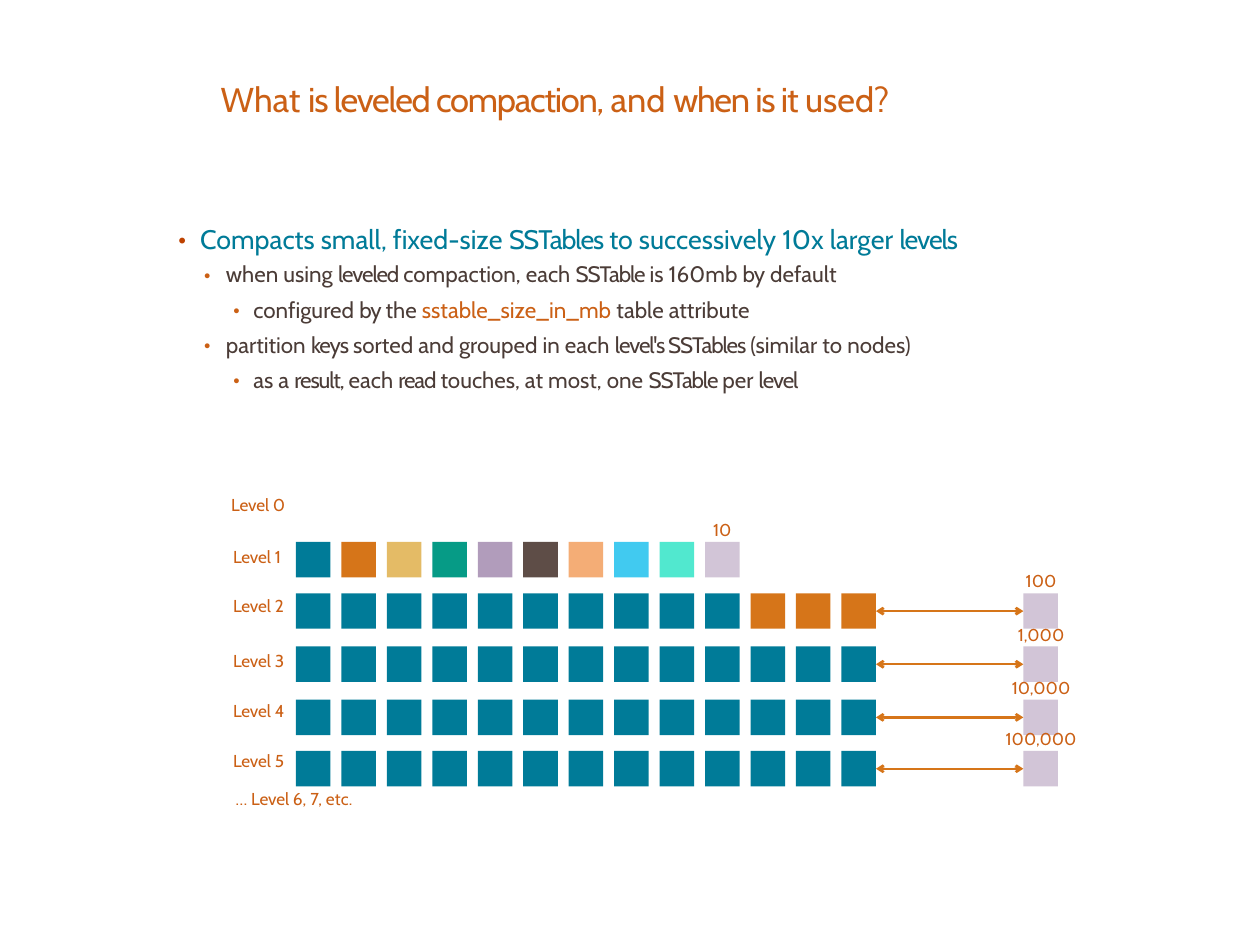
import pptx
import pptx.dml.color
import pptx.enum.shapes
import pptx.enum.text
import pptx.oxml
import pptx.oxml.ns
import pptx.util
from lxml import etree

Inches = pptx.util.Inches
Pt = pptx.util.Pt
ALIGN = pptx.enum.text.PP_ALIGN
ANCHOR = pptx.enum.text.MSO_ANCHOR

ORANGE, TEAL, BROWN = "CB6015", "007B98", "4B3C37"
ARROW, LILAC = "D67519", "D2C5D7"
LEVEL_1_COLOURS = [TEAL, ARROW, "E4BB66", "069B86", "B19CBB",
                   "5E4D47", "F4AD76", "41CAF0", "51E8CF", LILAC]
SSTABLE_W, SSTABLE_H, PITCH = 0.39, 0.4, 0.513
LABEL_H = 0.24

TITLE = [("What ", 0), ("is leveled compaction, ", -1), ("and ", 0),
         ("when is it ", -1), ("used?", 0)]
POINTS = [
    (0, 0, [("Compacts small, fixed-size ", 0), ("SSTables ", -0.9),
            ("to successively 10x larger ", 0), ("levels", -0.9)]),
    (1, 5, [("when using ", 0), ("leveled ", -0.9), ("compaction, each ", 0),
            ("SSTable ", -0.9), ("is 160mb ", 0), ("by", -0.9), (" default", 0)]),
    (2, 7, [("configured ", 0), ("by ", -0.9), ("the ", 0),
            ("sstable_size_in_mb ", 0, ORANGE), ("table attribute", 0)]),
    (1, 7, [("partition ", 0), ("keys ", -0.9), ("sorted and grouped in each ", 0),
            ("level's SSTables ", -0.9), ("(similar to nodes)", 0)]),
    (2, 6, [("as a ", 0), ("result, ", -0.9), ("each ", 0), ("read ", -0.9),
            ("touches, at most, one ", 0), ("SSTable ", -0.9), ("per ", 0),
            ("level", -0.9)]),
]
POINT_STYLES = [(21.8, TEAL, "BE4200", 0.28, -0.25),
                (18.2, BROWN, ORANGE, 0.57, -0.25),
                (18.2, BROWN, ORANGE, 0.88, -0.23)]
LEVELS = [
    ("1", "10", 0.54, 0.17, LEVEL_1_COLOURS),
    ("2", "100", 1.12, 0.14, [TEAL] * 10 + [ARROW] * 3),
    ("3", "1,000", 1.72, 0.16, [TEAL] * 13),
    ("4", "10,000", 2.32, 0.12, [TEAL] * 13),
    ("5", "100,000", 2.9, 0.11, [TEAL] * 13),
]


def rgb(colour):
    return pptx.dml.color.RGBColor.from_string(colour)


def place(shape, left, top, width, height):
    shape.left, shape.top = Inches(left), Inches(top)
    shape.width, shape.height = Inches(width), Inches(height)


def clear_frame(frame, anchor, wrap=True):
    frame.margin_left = frame.margin_right = 0
    frame.margin_top = frame.margin_bottom = 0
    frame.vertical_anchor = anchor
    frame.auto_size = pptx.enum.text.MSO_AUTO_SIZE.NONE
    frame.word_wrap = wrap


def add_runs(paragraph, parts, size, colour):
    for text, spacing, *accent in parts:
        run = paragraph.add_run()
        run.text = text
        run.font.name = "Cabin"
        run.font.size = Pt(size)
        run.font.color.rgb = rgb(accent[0] if accent else colour)
        if spacing:
            run._r.get_or_add_rPr().set("spc", str(round(spacing * 100)))


def add_bullet(paragraph, colour, margin, indent):
    properties = paragraph._p.get_or_add_pPr()
    properties.set("marL", str(Inches(margin)))
    properties.set("indent", str(Inches(indent)))
    namespace = pptx.oxml.ns.nsdecls("a")
    for xml in (f'<a:buClr {namespace}><a:srgbClr val="{colour}"/></a:buClr>',
                f'<a:buFont {namespace} typeface="Cabin"/>',
                f'<a:buChar {namespace} char="•"/>'):
        properties.append(pptx.oxml.parse_xml(xml))


def add_title(slide, box):
    title = slide.shapes.title
    place(title, *box)
    clear_frame(title.text_frame, ANCHOR.MIDDLE)
    heading = title.text_frame.paragraphs[0]
    heading.alignment = ALIGN.LEFT
    add_runs(heading, TITLE, 28, ORANGE)


def add_points(slide, box):
    body = slide.placeholders[1]
    place(body, *box)
    frame = body.text_frame
    clear_frame(frame, ANCHOR.TOP)
    for index, (level, before, parts) in enumerate(POINTS):
        point = frame.add_paragraph() if index else frame.paragraphs[0]
        size, colour, bullet_colour, margin, indent = POINT_STYLES[level]
        add_bullet(point, bullet_colour, margin, indent)
        point.level = level
        point.space_before = Pt(before)
        point.line_spacing = 1.0
        add_runs(point, parts, size, colour)


def add_label(slide, left, middle, width, parts, align=ALIGN.LEFT):
    label = slide.shapes.add_textbox(Inches(left), Inches(middle - LABEL_H / 2),
                                     Inches(width), Inches(LABEL_H))
    clear_frame(label.text_frame, ANCHOR.MIDDLE)
    paragraph = label.text_frame.paragraphs[0]
    paragraph.alignment = align
    add_runs(paragraph, parts, 14, ORANGE)


def add_sstable(slide, left, top, colour):
    sstable = slide.shapes.add_shape(
        pptx.enum.shapes.MSO_SHAPE.RECTANGLE, Inches(left), Inches(top),
        Inches(SSTABLE_W), Inches(SSTABLE_H))
    sstable.shadow.inherit = False
    sstable.fill.solid()
    sstable.fill.fore_color.rgb = rgb(colour)
    sstable.line.fill.background()
    return sstable


def add_span(slide, start, end):
    span = slide.shapes.add_connector(
        pptx.enum.shapes.MSO_CONNECTOR.STRAIGHT, 0, 0, 0, 0)
    span.begin_connect(start, 3)
    span.end_connect(end, 1)
    span.line.color.rgb = rgb(ARROW)
    span.line.width = Pt(2)
    line = span.line._get_or_add_ln()
    for tip in ("a:headEnd", "a:tailEnd"):
        etree.SubElement(line, pptx.oxml.ns.qn(tip), type="arrow")
    etree.SubElement(span._element.spPr, pptx.oxml.ns.qn("a:effectLst"))


def add_level(slide, left, top, name, count, label_offset, colours):
    add_label(slide, left + 0.02, top + label_offset, 0.68,
              [("Level ", -0.1), (name, 0)])
    first = left + 0.73
    for column, colour in enumerate(colours):
        last = add_sstable(slide, first + column * PITCH, top, colour)
    count_middle = first + column * PITCH + SSTABLE_W / 2
    if len(colours) > 10:
        final = add_sstable(slide, left + 8.94, top, LILAC)
        add_span(slide, last, final)
        count_middle = left + 9.14
    add_label(slide, count_middle - 0.5, top - 0.14, 1, [(count, 0)], ALIGN.CENTER)


def add_levels(slide, box):
    left, top, width, height = box
    add_label(slide, left, top + 0.12, 0.7, [("Level ", -0.1), ("0", 0)])
    for name, count, offset, label_offset, colours in LEVELS:
        add_level(slide, left, top + offset, name, count, label_offset, colours)
    add_label(slide, left + 0.05, top + height - 0.16, 2,
              [("… ", 0), ("Level ", -0.1), ("6, 7, ", 0), ("etc.", 0.1)])


def main():
    deck = pptx.Presentation()
    deck.slide_width, deck.slide_height = Inches(14.22), Inches(10.67)
    slide = deck.slides.add_slide(deck.slide_layouts[1])
    add_title(slide, (2.49, 0.88, 9.51, 0.48))
    add_points(slide, (1.98, 2.51, 9.53, 2.16))
    add_levels(slide, (2.61, 5.58, 9.58, 3.6))
    deck.save("out.pptx")


if __name__ == "__main__":
    main()
